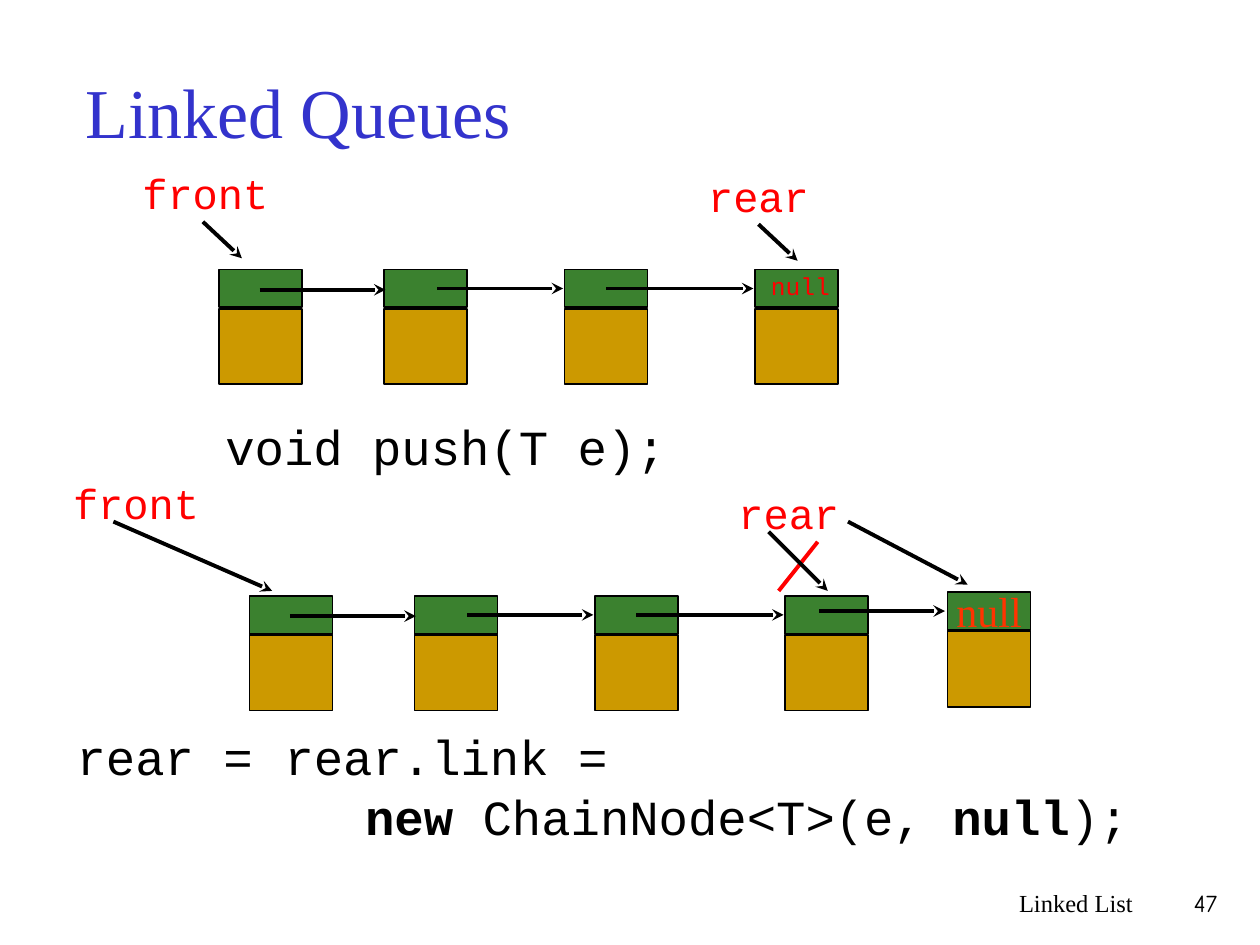
from dataclasses import dataclass

from lxml.etree import SubElement
from pptx import Presentation
from pptx.dml.color import RGBColor
from pptx.enum.shapes import MSO_CONNECTOR, MSO_SHAPE
from pptx.enum.text import MSO_ANCHOR, PP_ALIGN
from pptx.oxml.ns import qn
from pptx.util import Inches, Pt


@dataclass(frozen=True)
class Theme:
    black: str = "000000"
    title: str = "3333CC"
    red: str = "FF0000"
    orange: str = "FF3300"
    link: str = "3B812F"
    data: str = "CC9900"
    serif: str = "Times New Roman"
    mono: str = "Courier New"
    number: str = "Comic Neue"
    heading: int = 40
    code: int = 28
    label: int = 24
    small: int = 14
    border: float = 1
    arrow: float = 2.25


class QueueSlide:
    def __init__(self, prs, theme):
        self.theme = theme
        self.s = prs.slides.add_slide(prs.slide_layouts[6])

    def fill_text(self, tf, runs, size, font, color, align=PP_ALIGN.LEFT, **frame):
        for name, value in frame.items():
            setattr(tf, name, value)
        p = tf.paragraphs[0]
        p.alignment = align
        for text, bold in runs:
            r = p.add_run()
            r.text = text
            fmt = {"size": Pt(size), "name": font, "bold": bold}
            for name, value in fmt.items():
                setattr(r.font, name, value)
            r.font.color.rgb = RGBColor.from_string(color)

    def text(self, box, runs, size, font, color, **options):
        sp = self.s.shapes.add_textbox(*map(Inches, box))
        if isinstance(runs, str):
            runs = [(runs, False)]
        options = {"word_wrap": True, **options}
        self.fill_text(sp.text_frame, runs, size, font, color, **options)

    def label(self, x, y, text):
        t = self.theme
        insets = {
            "margin_left": Inches(0.07), "margin_right": Inches(0.07),
            "margin_top": Inches(0.04), "margin_bottom": Inches(0.04),
        }
        self.text((x, y, 1.43, 0.66), text, t.label, t.mono, t.red, **insets)

    def code(self, x, y, w, runs):
        t = self.theme
        self.text((x, y, w, 0.57), runs, t.code, t.mono, t.black)

    def rect(self, x, y, h, fill):
        sp = self.s.shapes.add_shape(
            MSO_SHAPE.RECTANGLE, Inches(x), Inches(y), Inches(0.66), Inches(h))
        sp.shadow.inherit = False
        sp.fill.solid()
        sp.fill.fore_color.rgb = RGBColor.from_string(fill)
        sp.line.color.rgb = RGBColor.from_string(self.theme.black)
        sp.line.width = Pt(self.theme.border)
        return sp

    def node(self, x, y):
        self.rect(x, y + 0.31, 0.6, self.theme.data)
        return self.rect(x, y, 0.3, self.theme.link)

    def line(self, start, end, color=None, arrow=True):
        c = self.s.shapes.add_connector(
            MSO_CONNECTOR.STRAIGHT, *map(Inches, (*start, *end)))
        c.line.color.rgb = RGBColor.from_string(color or self.theme.black)
        c.line.width = Pt(self.theme.arrow)
        sp_pr = c._element.spPr
        if arrow:
            SubElement(sp_pr.find(qn("a:ln")), qn("a:tailEnd"), type="stealth")
        SubElement(sp_pr, qn("a:effectLst"))

    def chain(self, dx, dy):
        for x in (1.74, 3.05, 4.48, 5.99):
            self.node(x + dx, 2.14 + dy)
        for x1, x2, y in ((2.06, 3.06, 2.3), (3.47, 4.47, 2.29), (4.81, 5.98, 2.29)):
            self.line((x1 + dx, y + dy), (x2 + dx, y + dy))


def main():
    prs = Presentation()
    prs.slide_width, prs.slide_height = Inches(10), Inches(7.5)
    t = Theme()
    q = QueueSlide(prs, t)

    q.text((0.58, 0.25, 8.5, 1.25), "Linked Queues", t.heading, t.serif, t.title,
           vertical_anchor=MSO_ANCHOR.MIDDLE)

    q.chain(0, 0)
    q.chain(0.24, 2.59)
    new_node = q.node(7.52, 4.7)
    q.fill_text(new_node.text_frame, [("null", False)], t.label, t.serif, t.orange,
                align=PP_ALIGN.CENTER, word_wrap=False,
                vertical_anchor=MSO_ANCHOR.MIDDLE)
    q.text((6.02, 2.1, 0.71, 0.34), "null", t.small, t.mono, t.red)

    for x, y, name in ((1.06, 1.29, "front"), (5.55, 1.31, "rear"),
                       (0.51, 3.75, "front"), (5.79, 3.83, "rear")):
        q.label(x, y, name)

    q.line((6.49, 4.3), (6.18, 4.69), color=t.red, arrow=False)
    for start, end in (((1.61, 1.76), (1.92, 2.05)),
                       ((6.02, 1.78), (6.33, 2.07)),
                       ((0.9, 4.14), (2.16, 4.69)),
                       ((6.1, 4.22), (6.57, 4.69)),
                       ((6.73, 4.14), (7.68, 4.64)),
                       ((6.5, 4.85), (7.5, 4.85))):
        q.line(start, end)

    q.code(1.69, 3.26, 4.25, "void push(T e);")
    q.code(0.51, 5.72, 1.81, "rear =")
    q.code(2.16, 5.72, 4.72, "rear.link =")
    q.code(2.8, 6.19, 6.46, [("new ", True), ("ChainNode<T>(e, ", False),
                             ("null", True), (");", False)])

    q.text((5.92, 7, 3.17, 0.5), "Linked List", t.small, t.serif, t.black,
           align=PP_ALIGN.RIGHT)
    q.text((9.08, 7, 0.68, 0.5), "47", t.small, t.number, t.black,
           align=PP_ALIGN.RIGHT)

    prs.save("out.pptx")


if __name__ == "__main__":
    main()
